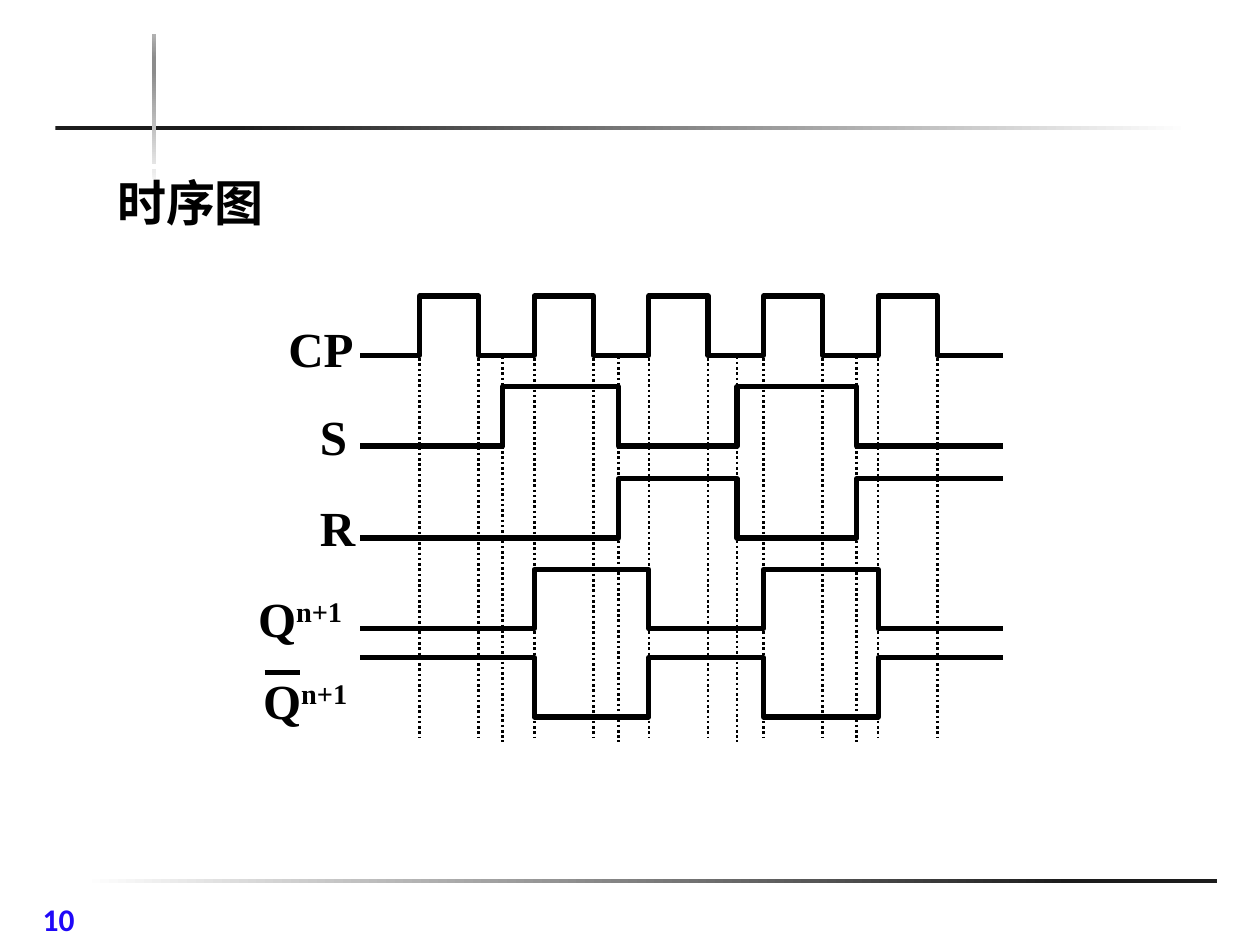
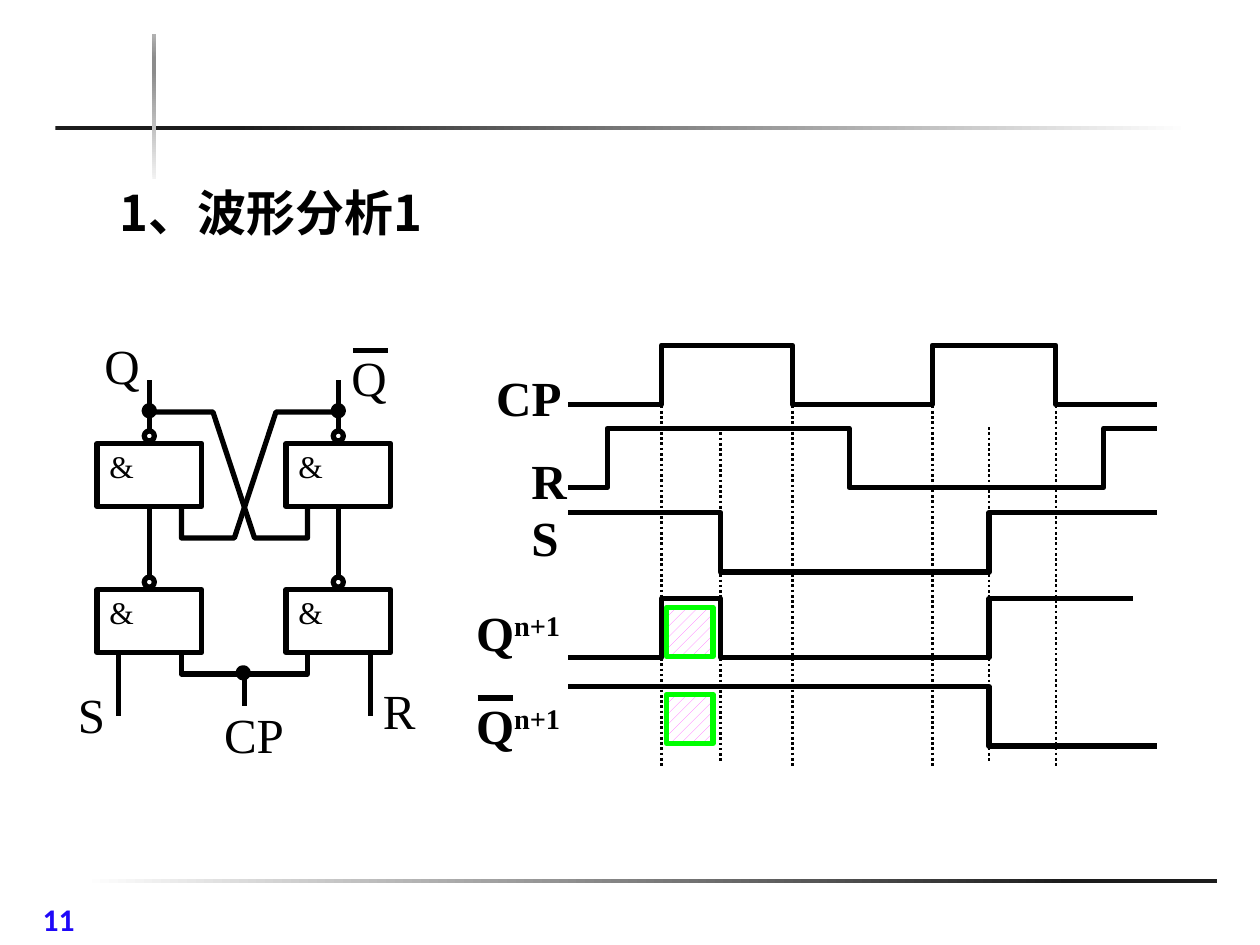
from dataclasses import dataclass
from itertools import chain

from lxml import etree
from pptx import Presentation
from pptx.dml.color import RGBColor
from pptx.enum import dml, shapes, text
from pptx.oxml.ns import qn
from pptx.util import Inches, Pt

BLACK, WHITE, NUMBER_BLUE = "000000", "FFFFFF", "1F08F8"
HATCH_PINK, HATCH_GREEN = "FF66FF", "00FF00"
TITLE_FONT, LABEL_FONT, NUMBER_FONT = "Noto Sans CJK SC", "Times New Roman", "Calibri"
PULSE = 0.47
BANDS = [
    ((0.66, 6.98, 9, 0.03), 0, [(0, WHITE), (87, "1C1C1C")]),
    ((0.44, 1, 9, 0.03), 0, [(16, "1C1C1C"), (100, WHITE)]),
    ((1.21, 0.27, 0.03, 1.15), 90,
     [(0, "F2F2F2"), (74, "8C8C8C"), (83, "8C8C8C"), (100, "B2B2B2")]),
]


def color(hex_code):
    return RGBColor.from_string(hex_code)


def inches(*lengths):
    return [Inches(length) for length in lengths]


def add_span(para, words, size=28, font=LABEL_FONT, ink=BLACK, bold=False, raised=False):
    span = para.add_run()
    span.text = words
    span.font.size, span.font.name, span.font.bold = Pt(size), font, bold
    span.font.color.rgb = color(ink)
    properties = span.font._element
    if font == TITLE_FONT:
        etree.SubElement(properties, qn("a:ea"), typeface=font)
    if raised:
        properties.set("baseline", "30000")


def write(frame, words, superscript="", **style):
    """Fill a text frame with one left-aligned line and an optional superscript."""
    frame.word_wrap = True
    frame.auto_size = text.MSO_AUTO_SIZE.NONE
    frame.vertical_anchor = text.MSO_ANCHOR.TOP
    para = frame.paragraphs[0]
    para.alignment = text.PP_ALIGN.LEFT
    add_span(para, words, **style)
    if superscript:
        add_span(para, superscript, raised=True, **style)


def outline(shape, ink=BLACK, width=3):
    shape.line.color.rgb = color(ink)
    shape.line.width = Pt(width)


@dataclass
class Panel:
    """A region of a page; all lengths are inches from its top left corner."""
    page: object
    left: float
    top: float

    def place(self, x, y):
        return inches(self.left + x, self.top + y)

    def line(self, start, end, width=3, dotted=False):
        line = self.page.shapes.add_connector(
            shapes.MSO_CONNECTOR.STRAIGHT, *self.place(*start), *self.place(*end))
        outline(line, width=width)
        if dotted:
            line.line.dash_style = dml.MSO_LINE.ROUND_DOT
        etree.SubElement(line.element.spPr, qn("a:effectLst"))
        return line

    def trace(self, points):
        start, *others = [self.place(*point) for point in points]
        builder = self.page.shapes.build_freeform(*start)
        builder.add_line_segments(others, close=False)
        shape = builder.convert_to_shape()
        shape.fill.background()
        shape.shadow.inherit = False
        outline(shape)

    def shape(self, kind, x, y, width, height, fill=None, ink=BLACK):
        shape = self.page.shapes.add_shape(
            kind, *self.place(x, y), *inches(width, height))
        shape.shadow.inherit = False
        outline(shape, ink)
        if fill:
            shape.fill.solid()
            shape.fill.fore_color.rgb = color(fill)
        else:
            shape.fill.background()
        return shape

    def dot(self, x, y, fill=None):
        return self.shape(shapes.MSO_SHAPE.OVAL, x - 0.04, y - 0.04, 0.08, 0.08, fill)

    def label(self, words, x, y, width=1.04, height=0.57, barred=False, **style):
        box = self.page.shapes.add_textbox(*self.place(x, y), *inches(width, height))
        write(box.text_frame, words, **style)
        if barred:
            self.line((x + 0.11, y + 0.07), (x + 0.39, y + 0.07))


@dataclass
class Signal:
    name: str
    label_at: tuple
    top: float
    edges: list
    starts_high: bool = False
    superscript: str = ""
    barred: bool = False
    end: float = 0


def wave_points(signal, start, end):
    """Corners of a square wave that toggles at each edge."""
    high, low = signal.top, signal.top + PULSE
    level, other = (high, low) if signal.starts_high else (low, high)
    points = [(start, level)]
    for edge in signal.edges:
        points += [(edge, level), (edge, other)]
        level, other = other, level
    return points + [(signal.end or end, level)]


def timing_diagram(panel, signals, guides, start, end):
    for marks, top, bottom in guides:
        for x in marks:
            panel.line((x, top), (x, bottom), width=1.5, dotted=True)
    for signal in signals:
        panel.trace(wave_points(signal, start, end))
        panel.label(signal.name, *signal.label_at, bold=True,
                    superscript=signal.superscript, barred=signal.barred)


def sampled_timing(panel):
    rises = [1.38 + 0.91 * step for step in range(5)]
    clock = list(chain.from_iterable((rise, rise + PULSE) for rise in rises))
    inputs = [2.04, 2.96, 3.9, 4.85]
    signals = [
        Signal("CP", (0.24, 0.13), 0, clock),
        Signal("S", (0.49, 0.83), 0.72, inputs),
        Signal("R", (0.49, 1.55), 1.45, inputs[1:]),
        Signal("Q", (0, 2.27), 2.17, rises[1:], superscript="n+1"),
        Signal("Q", (0.04, 2.92), 2.87, rises[1:], True, "n+1", barred=True),
    ]
    guides = [(clock, 0.45, 3.51), (inputs, 0.48, 3.54)]
    timing_diagram(panel, signals, guides, start=0.91, end=6.01)


def gated_timing(panel):
    clock, sets = [1.57, 2.61, 3.72, 4.7], [2.04, 4.17]
    signals = [
        Signal("CP", (0.16, 0.13), 0, clock),
        Signal("R", (0.44, 0.79), 0.66, [1.14, 3.06, 5.08]),
        Signal("S", (0.44, 1.24), 1.33, sets, True),
        Signal("Q", (0, 1.99), 2.01, [clock[0], *sets], superscript="n+1", end=5.31),
        Signal("Q", (0, 2.73), 2.71, sets[1:], True, "n+1", barred=True),
    ]
    guides = [(clock, 0.48, 3.34), (sets, 0.65, 3.31)]
    timing_diagram(panel, signals, guides, start=0.83, end=5.5)
    for top in (2.08, 2.77):
        hatch = panel.shape(shapes.MSO_SHAPE.RECTANGLE, 1.61, top, 0.37, 0.39,
                            ink=HATCH_GREEN)
        hatch.fill.patterned()
        hatch.fill.pattern = dml.MSO_PATTERN.PERCENT_20
        hatch.fill.fore_color.rgb = color(HATCH_PINK)
        hatch.fill.back_color.rgb = color(WHITE)


def nand_gate(panel, left, top):
    """Draw a gate with its output bubble and return both."""
    width, height = 0.83, 0.5
    body = panel.shape(shapes.MSO_SHAPE.RECTANGLE, left, top, width, height)
    bubble = panel.dot(left + width / 2, top - 0.06)
    panel.label("&", left, top - 0.02, 0.4, 0.4, size=18)
    return body, bubble


def latch_circuit(panel):
    axis = 1.42
    feedback = [(0.67, 0.66), (1.17, 0.66), (1.5, 1.66), (1.92, 1.66), (1.92, 1.41)]
    for gate_left, side in ((0.25, 1), (1.75, -1)):
        def mirrored(x, y):
            return axis + side * (x - axis), y

        upper, output = nand_gate(panel, gate_left, 0.91)
        lower, joint = nand_gate(panel, gate_left, 2.07)
        center = gate_left + 0.415
        panel.line((center, 0.41), (center, 0.81)).end_connect(output, 0)
        link = panel.line((center, 1.41), (center, 1.97))
        link.begin_connect(upper, 2)
        link.end_connect(joint, 0)
        panel.dot(center, 0.65, BLACK)
        panel.trace([mirrored(*point) for point in feedback])
        panel.line(mirrored(0.42, 2.57), mirrored(0.42, 3.07))
    panel.trace([(0.92, 2.57), (0.92, 2.74), (1.92, 2.74), (1.92, 2.57)])
    panel.line((axis, 2.74), (axis, 2.99))
    panel.dot(axis - 0.01, 2.73, BLACK)
    panel.label("Q", 0.21, 0, 0.67)
    panel.label("Q", 2.17, 0.1, 0.6, barred=True)
    panel.label("S", 0, 2.77, 0.5)
    panel.label("R", 2.42, 2.74, 0.5)
    panel.label("CP", 1.16, 2.93, 0.8)


def add_bands(layout, page):
    """Draw the gradient bands once and hand them to the shared layout."""
    for number, (box, angle, stops) in enumerate(BANDS, start=101):
        band = page.shapes.add_shape(shapes.MSO_SHAPE.RECTANGLE, *inches(*box))
        band.shadow.inherit = False
        band.line.fill.background()
        band.fill.gradient()
        band.fill.gradient_angle = angle
        stop_list = next(band.element.iter(qn("a:gsLst")))
        for stop in list(stop_list):
            stop_list.remove(stop)
        for position, shade in stops:
            stop = etree.SubElement(stop_list, qn("a:gs"), pos=str(position * 1000))
            etree.SubElement(stop, qn("a:srgbClr"), val=shade)
        next(band.element.iter(qn("p:cNvPr"))).set("id", str(number))
        layout.shapes.element.append(band.element)


def add_page(deck, layout, title, title_box, number):
    page = deck.slides.add_slide(layout)
    heading = page.shapes.title
    heading.left, heading.top, heading.width, heading.height = inches(*title_box)
    outline(heading, WHITE)
    write(heading.text_frame, title, font=TITLE_FONT, bold=True)
    footer = page.shapes.add_textbox(*inches(0.24, 7.09, 0.99, 0.37))
    write(footer.text_frame, str(number), size=18, font=NUMBER_FONT,
          ink=NUMBER_BLUE, bold=True)
    return page


def main():
    deck = Presentation()
    deck.slide_width, deck.slide_height = inches(10, 7.5)
    layout = deck.slide_layouts[5]

    timing_page = add_page(deck, layout, "时序图", (0.83, 1.32, 2.96, 0.57), 10)
    add_bands(layout, timing_page)
    sampled_timing(Panel(timing_page, 1.95, 2.35))

    analysis_page = add_page(deck, layout, "1、波形分析1", (0.85, 1.4, 3.1, 0.53), 11)
    analysis_page.shapes.title.line.fill.background()
    gated_timing(Panel(analysis_page, 3.68, 2.74))
    latch_circuit(Panel(analysis_page, 0.52, 2.61))

    deck.save("out.pptx")


if __name__ == "__main__":
    main()
